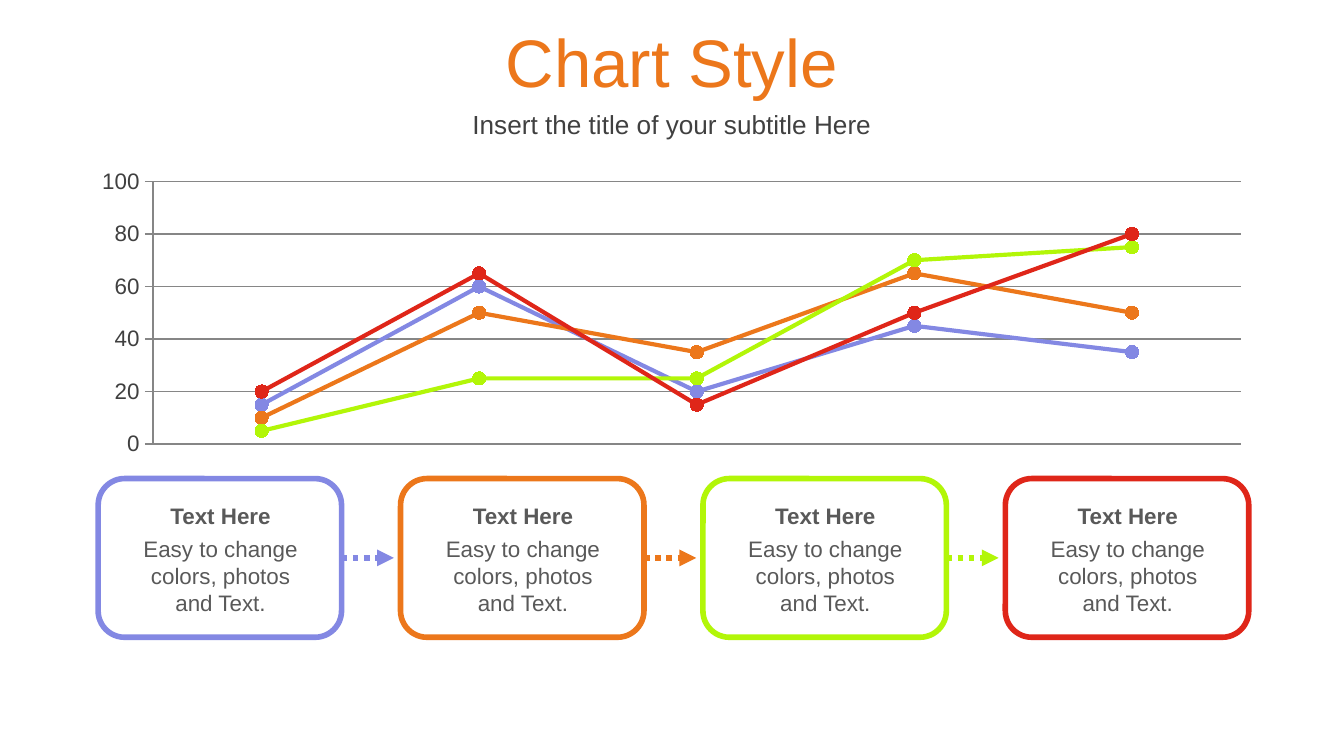
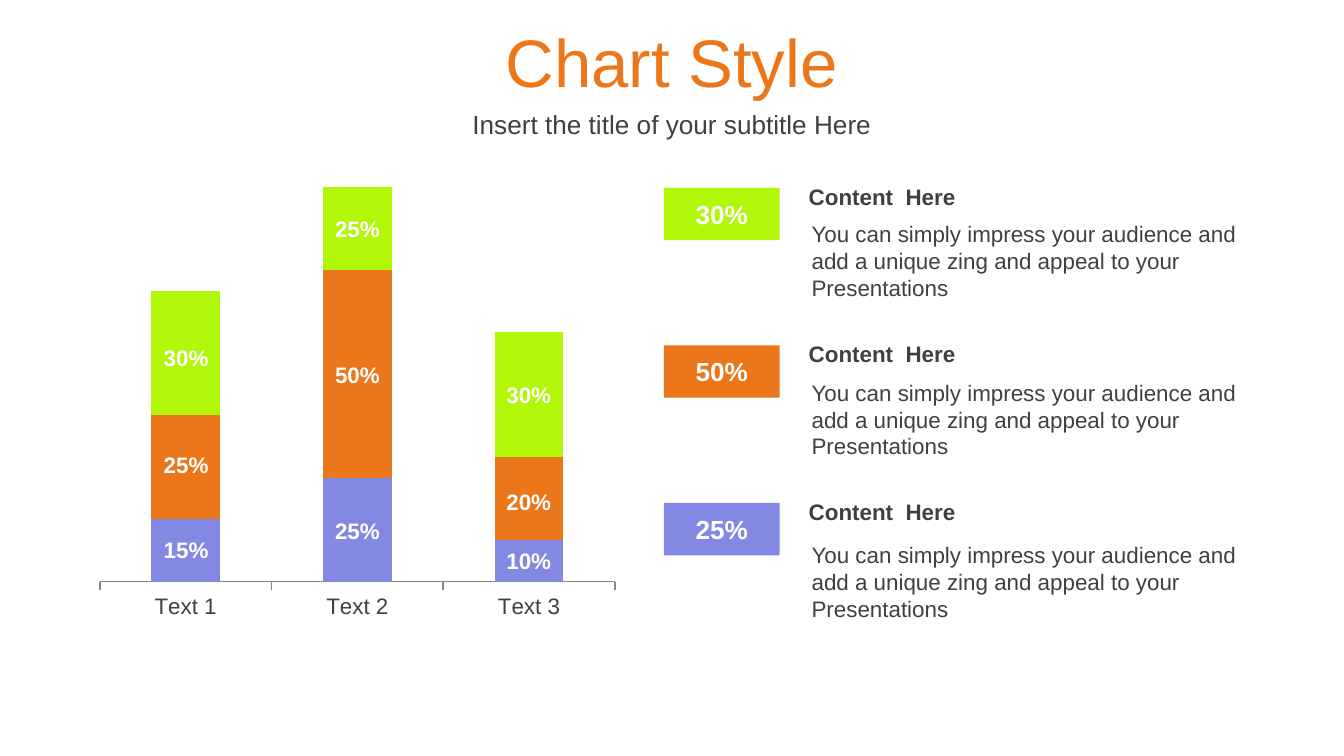
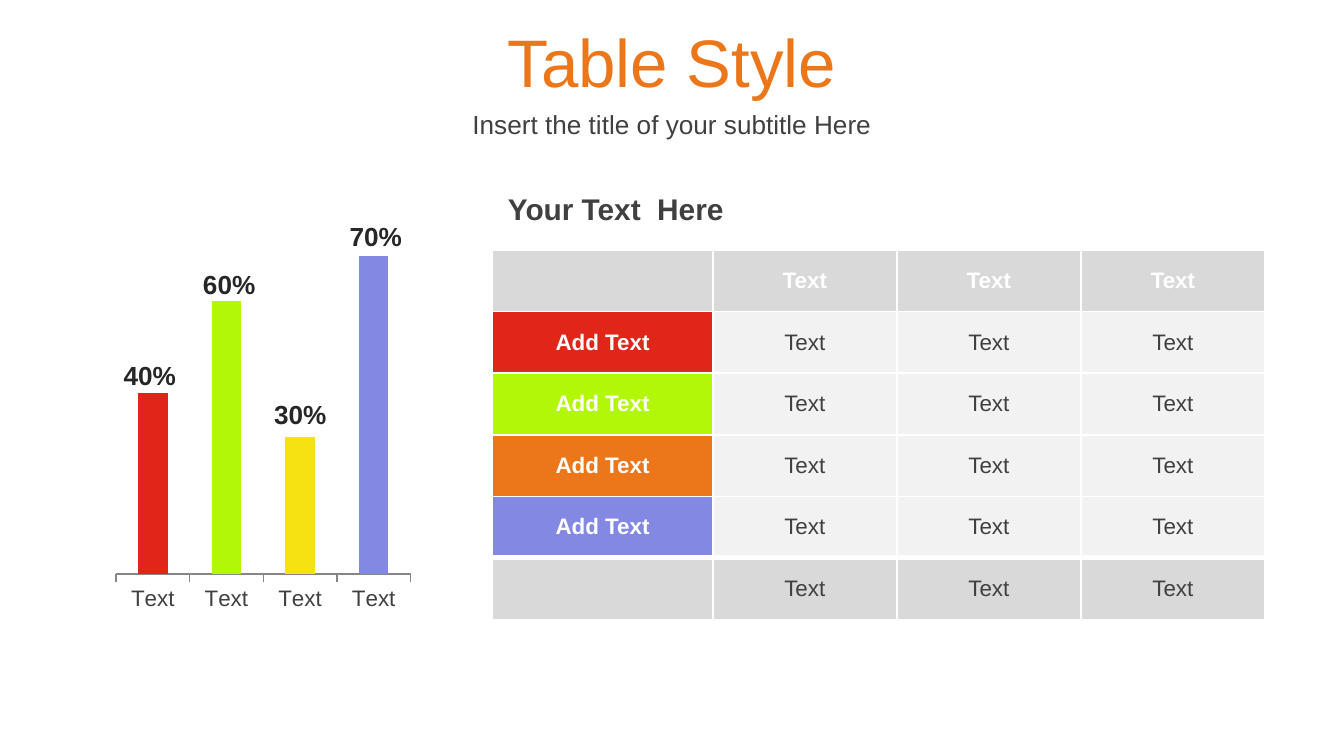
from lxml.etree import SubElement
from pptx import Presentation
from pptx.chart.data import CategoryChartData
from pptx.dml.color import RGBColor
from pptx.enum.chart import XL_CHART_TYPE, XL_MARKER_STYLE, XL_TICK_MARK
from pptx.enum.dml import MSO_LINE
from pptx.enum.shapes import MSO_CONNECTOR, MSO_SHAPE
from pptx.enum.text import MSO_ANCHOR, PP_ALIGN
from pptx.oxml import parse_xml
from pptx.oxml.ns import nsdecls, qn
from pptx.util import Pt

FONT = "Arial"
BLUE, ORANGE, LIME = "8388E3", "EC771B", "B2F608"
RED, YELLOW, WHITE = "DF2619", "F6E213", "FFFFFF"
DARK, BODY, INK, AXIS = "404040", "595959", "262626", "868686"
SILVER, PALE = "D9D9D9", "F2F2F2"
CENTER, LEFT = PP_ALIGN.CENTER, PP_ALIGN.LEFT
MIDDLE, TOP = MSO_ANCHOR.MIDDLE, MSO_ANCHOR.TOP


def rgb(code):
    return RGBColor.from_string(code)


def paint(target, code):
    target.fill.solid()
    target.fill.fore_color.rgb = rgb(code)


def style(font, size, color, bold=False):
    font.name = FONT
    font.size = Pt(size)
    font.bold = bold
    font.color.rgb = rgb(color)


def write(frame, words, size=12, color=DARK, bold=False, align=CENTER, anchor=TOP):
    frame.word_wrap = True
    frame.vertical_anchor = anchor
    para = frame.paragraphs[0]
    para.alignment = align
    run = para.add_run()
    run.text = words
    style(run.font, size, color, bold)


def edge(cell, widths):
    """Draw white borders; widths run left, right, top, bottom."""
    props = cell._tc.get_or_add_tcPr()
    for i, (side, width) in enumerate(zip("LRTB", widths)):
        props.insert(i, parse_xml(
            f'<a:ln{side} {nsdecls("a")} w="{Pt(width)}"><a:solidFill>'
            f'<a:srgbClr val="{WHITE}"/></a:solidFill></a:ln{side}>'))


def place(chart, bounds):
    """Fix the inner plot area as fractions of the chart."""
    area = chart.element.find(f'{qn("c:chart")}/{qn("c:plotArea")}')
    for old in area.findall(qn("c:layout")):
        area.remove(old)
    layout = parse_xml(f'<c:layout {nsdecls("c")}><c:manualLayout/></c:layout>')
    values = ["inner", "edge", "edge", *bounds]
    tags = ["layoutTarget", "xMode", "yMode", "x", "y", "w", "h"]
    for tag, value in zip(tags, values):
        SubElement(layout[0], qn(f"c:{tag}")).set("val", str(value))
    area.insert(0, layout)


class Deck:
    def __init__(self):
        self.file = Presentation()
        self.file.slide_width = Pt(720)
        self.file.slide_height = Pt(405)
        self.slide = None

    def start(self, title):
        self.slide = self.file.slides.add_slide(self.file.slide_layouts[6])
        self.text(title, 0, 10, 720, 45.4, size=36, color=ORANGE, anchor=MIDDLE)
        self.text("Insert the title of your subtitle Here", 0, 55.4, 720, 22.3,
                  size=14, anchor=MIDDLE)

    def text(self, words, x, y, w, h, **form):
        area = self.slide.shapes.add_textbox(Pt(x), Pt(y), Pt(w), Pt(h))
        write(area.text_frame, words, **form)

    def box(self, kind, x, y, w, h, fill, line=None):
        box = self.slide.shapes.add_shape(kind, Pt(x), Pt(y), Pt(w), Pt(h))
        box.shadow.inherit = False
        paint(box, fill)
        if line:
            box.line.color.rgb = rgb(line)
            box.line.width = Pt(3)
        else:
            box.line.fill.background()
        return box

    def arrow(self, box, x, y, color):
        """Run a dotted arrow from the box's right side to x, y."""
        arrow = self.slide.shapes.add_connector(
            MSO_CONNECTOR.STRAIGHT, Pt(x), Pt(y), Pt(x), Pt(y))
        arrow.begin_connect(box, 3)
        arrow.line.color.rgb = rgb(color)
        arrow.line.width = Pt(3)
        arrow.line.dash_style = MSO_LINE.ROUND_DOT
        props = arrow.element.spPr
        SubElement(props.find(qn("a:ln")), qn("a:tailEnd")).set("type", "triangle")
        SubElement(props, qn("a:effectLst"))

    def chart(self, kind, x, y, w, h, cats, rows, top, bounds):
        data = CategoryChartData()
        data.categories = cats
        for i, row in enumerate(rows, 1):
            data.add_series(f"Series {i}", row)
        chart = self.slide.shapes.add_chart(
            kind, Pt(x), Pt(y), Pt(w), Pt(h), data).chart
        chart.has_legend = chart.has_title = False
        style(chart.font, 12, DARK)
        chart.plots[0].vary_by_categories = False
        chart.value_axis.minimum_scale = 0
        chart.value_axis.maximum_scale = top
        for axis in (chart.category_axis, chart.value_axis):
            axis.major_tick_mark = XL_TICK_MARK.OUTSIDE
            axis.format.line.color.rgb = rgb(AXIS)
            axis.format.line.width = Pt(0.75)
        place(chart, bounds)
        return chart

    def bars(self, *spot, **data):
        chart = self.chart(XL_CHART_TYPE.COLUMN_STACKED, *spot, **data)
        chart.value_axis.visible = False
        chart.value_axis.has_major_gridlines = False
        chart.plots[0].gap_width = 150
        chart.plots[0].overlap = 100
        return chart

    def lines(self, *spot, colors, **data):
        chart = self.chart(XL_CHART_TYPE.LINE_MARKERS, *spot, **data)
        chart.category_axis.visible = False
        chart.value_axis.major_unit = 20
        grid = chart.value_axis.major_gridlines.format.line
        grid.color.rgb = rgb(AXIS)
        grid.width = Pt(0.75)
        for series, color in zip(chart.plots[0].series, colors):
            series.smooth = False
            series.format.line.color.rgb = rgb(color)
            series.format.line.width = Pt(2.25)
            series.marker.style = XL_MARKER_STYLE.CIRCLE
            series.marker.size = 7
            paint(series.marker.format, color)
            series.marker.format.line.color.rgb = rgb(color)

    def table(self, x, y, cols, high, rows):
        """Fill a table from rows of (words, fill, color, bold) cells."""
        table = self.slide.shapes.add_table(
            len(rows), len(cols), Pt(x), Pt(y), Pt(sum(cols)),
            Pt(high * len(rows))).table
        table.first_row = table.horz_banding = False
        for col, width in zip(table.columns, cols):
            col.width = Pt(width)
        last = len(rows) - 1
        for r, row in enumerate(rows):
            for c, (words, fill, color, bold) in enumerate(row):
                cell = table.cell(r, c)
                paint(cell, fill)
                edge(cell, (1, 1, 3 if r == last else 1, 3 if r == last - 1 else 1))
                cell.vertical_anchor = MIDDLE
                if words:
                    write(cell.text_frame, words, color=color, bold=bold,
                          anchor=MIDDLE)


def trends(deck):
    deck.start("Chart Style")
    colors = [BLUE, ORANGE, LIME, RED]
    deck.lines(
        42.5, 87.8, 635, 159.8, colors=colors, cats=["1", "2", "3", "4", "5"],
        rows=[(15, 60, 20, 45, 35), (10, 50, 35, 65, 50),
              (5, 25, 25, 70, 75), (20, 65, 15, 50, 80)],
        top=100, bounds=(0.062, 0.059, 0.918, 0.881))
    cards = []
    for i, color in enumerate(colors):
        x = 52.6 + 162 * i
        cards.append(deck.box(MSO_SHAPE.ROUNDED_RECTANGLE, x, 256.4, 130.4, 85,
                              WHITE, color))
        deck.text("Easy to change colors, photos and Text.", x + 11.6, 283,
                  108, 51, color=BODY)
        deck.text("Text Here", x + 11.6, 265.6, 108, 21.6, color=BODY, bold=True)
    for i, (card, color) in enumerate(zip(cards[:-1], colors)):
        deck.arrow(card, 211 + 162 * i, 298.9, color)


def shares(deck):
    deck.start("Chart Style")
    chart = deck.bars(
        42.5, 88.6, 298, 247, cats=["Text 1", "Text 2", "Text 3"],
        rows=[(30, 50, 20), (50, 100, 40), (60, 40, 60)],
        top=200, bounds=(0.037, 0.001, 0.926, 0.902))
    for series, color in zip(chart.plots[0].series, (BLUE, ORANGE, LIME)):
        paint(series.format, color)
    stacks = [
        [("15%", 283.7), ("25%", 238.3), ("30%", 180.7)],
        [("25%", 273.6), ("50%", 190.1), ("25%", 111.6)],
        [("10%", 289.4), ("20%", 257.8), ("30%", 200.9)],
    ]
    for i, stack in enumerate(stacks):
        for words, y in stack:
            deck.text(words, 77 + 91.8 * i, y, 45.4, 21.6, color=WHITE, bold=True)
    items = [("30%", LIME, 114.5), ("50%", ORANGE, 199.4), ("25%", BLUE, 286.6)]
    for i, (words, color, y) in enumerate(items):
        drop = 84.4 * i
        tag = deck.box(MSO_SHAPE.RECTANGLE, 355.7, 100.6 + drop, 62, 28.1, color)
        write(tag.text_frame, words, size=14, color=WHITE, bold=True, anchor=MIDDLE)
        deck.text("You can simply impress your audience and add a unique zing "
                  "and appeal to your Presentations", 427.7, y, 245.5, 51, align=LEFT)
        deck.text("Content  Here", 426.2, 94.4 + drop, 249, 21.6, bold=True,
                  align=LEFT)


def grid(deck):
    deck.start("Table Style")
    chart = deck.bars(
        51.8, 105.8, 178.6, 221.8, cats=["Text"] * 4, rows=[(57, 86, 43, 100)],
        top=114, bounds=(0.058, 0.034, 0.884, 0.876))
    series = chart.plots[0].series[0]
    for i, color in enumerate((RED, LIME, YELLOW, BLUE)):
        paint(series.points[i].format, color)
    labels = [("40%", 57.6, 188.6), ("60%", 100.1, 139.7),
              ("30%", 138.2, 209.5), ("70%", 178.6, 114.5)]
    for words, x, y in labels:
        deck.text(words, x, y, 45.4, 24.5, size=14, color=INK, bold=True,
                  anchor=MIDDLE)
    deck.text("Your Text  Here", 265, 98.6, 131, 26.6, size=16, bold=True, align=LEFT)
    blank = ("", SILVER, DARK, False)
    head = [blank] + [("Text", SILVER, WHITE, True)] * 3
    body = [[("Add Text", color, WHITE, True)] + [("Text", PALE, DARK, False)] * 3
            for color in (RED, LIME, ORANGE, BLUE)]
    foot = [blank] + [("Text", SILVER, DARK, False)] * 3
    deck.table(263.8, 133.9, [118.1] + [98.6] * 3, 33, [head, *body, foot])


def main():
    deck = Deck()
    trends(deck)
    shares(deck)
    grid(deck)
    deck.file.save("out.pptx")


if __name__ == "__main__":
    main()
